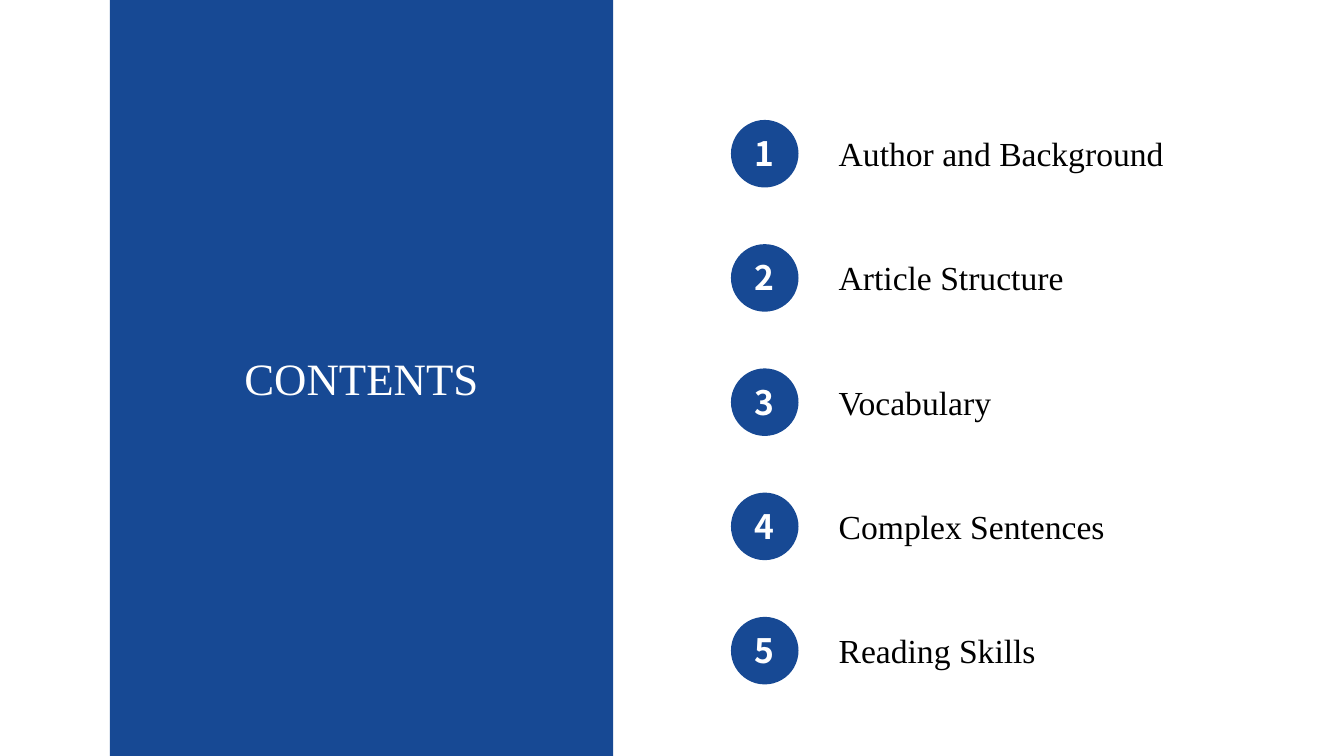
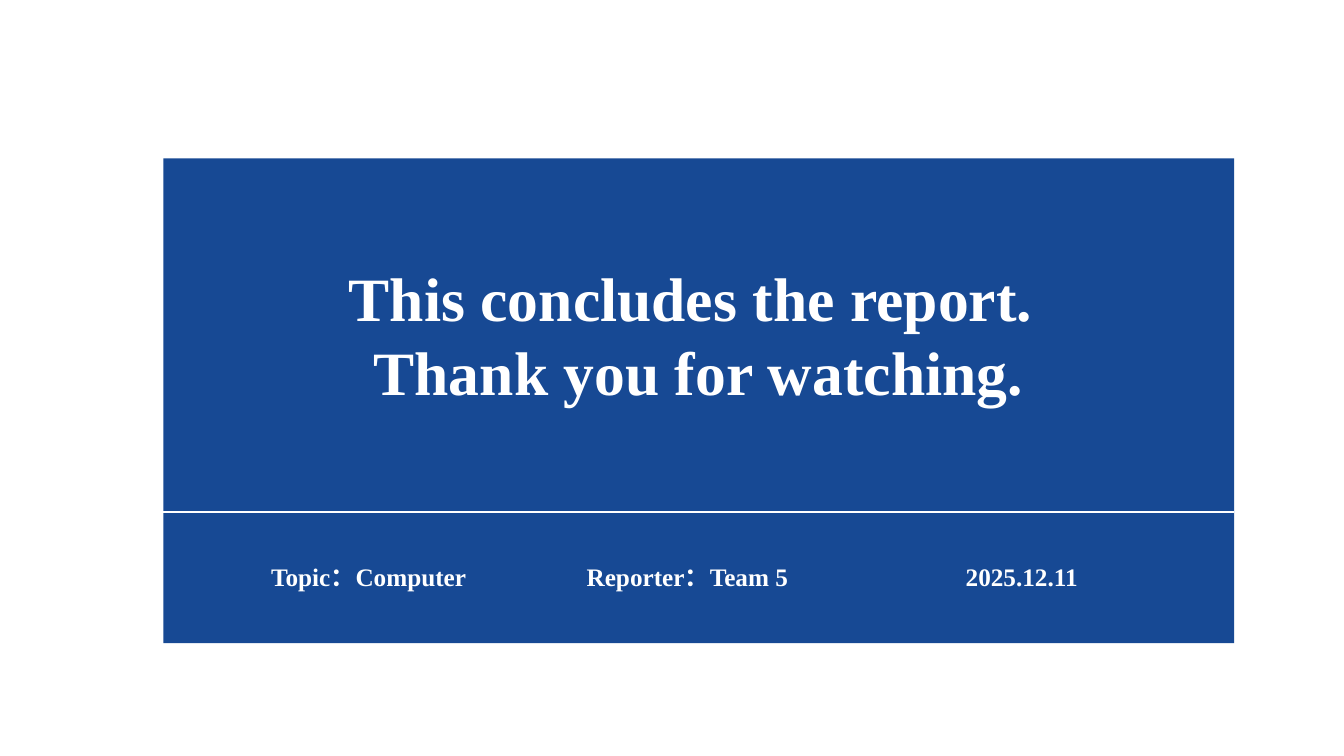
from lxml import etree
from pptx import Presentation
from pptx.dml.color import RGBColor
from pptx.enum.shapes import MSO_CONNECTOR as Link, MSO_SHAPE as Shape
from pptx.enum.text import MSO_AUTO_SIZE as Fit, PP_ALIGN as Align
from pptx.oxml.ns import qn
from pptx.util import Inches, Pt

# Content
HEAD = "CONTENTS"
TOPICS = ["Author and Background", "Article Structure", "Vocabulary",
          "Complex Sentences", "Reading Skills"]
THANKS = ["This concludes the report. ", "Thank you for watching."]
FACTS = [("Topic：Computer", 2.59, 2.16), ("Reporter：Team 5", 5.72, 2.22),
         ("2025.12.11", 9.48, 1.5)]

# Shared style
BLUE, WHITE, BLACK = "174994", "FFFFFF", "000000"
SERIF, SANS = "Times New Roman", "Noto Sans CJK SC"


def color(code):
    return RGBColor.from_string(code)


def add_fill(shapes, kind, *box):
    item = shapes.add_shape(kind, *map(Inches, box))
    item.shadow.inherit = False
    item.fill.solid()
    item.fill.fore_color.rgb = color(BLUE)
    item.line.fill.background()


def add_text(shapes, text, *box, size=24, font=SERIF, fill=WHITE,
             bold=False, align=Align.LEFT):
    frame = shapes.add_textbox(*map(Inches, box)).text_frame
    frame.word_wrap = True
    frame.auto_size = Fit.SHAPE_TO_FIT_TEXT
    frame.text = text
    for para in frame.paragraphs:
        para.alignment = align
        face = para.font
        face.size, face.name, face.bold = Pt(size), font, bold
        face.color.rgb = color(fill)


def add_rule(shapes, left, right, top):
    rule = shapes.add_connector(Link.STRAIGHT, *map(Inches, (left, top, right, top)))
    rule.line.color.rgb = color(WHITE)
    rule.line.width = Pt(1)
    etree.SubElement(rule._element.spPr, qn("a:effectLst"))


def add_contents(shapes):
    # Side panel with centred heading
    left, width = 1.09, 4.99
    add_fill(shapes, Shape.RECTANGLE, left, 0, width, 7.5)
    add_text(shapes, HEAD, left, 3.43, width, 0.64, size=32, align=Align.CENTER)
    # Numbered topics
    first, last, dot = 1.19, 6.12, 0.67
    step = (last - first) / (len(TOPICS) - 1)
    for i, topic in enumerate(TOPICS):
        top = first + i * step
        row = shapes.add_group_shape().shapes
        add_fill(row, Shape.OVAL, 7.25, top, dot, dot)
        add_text(row, str(i + 1), 7.38, top + 0.08, 0.41, 0.5,
                 font=SANS, bold=True)
        add_text(row, topic, 8.22, top + 0.08, 3.6, 0.5, fill=BLACK)


def add_closing(shapes):
    # Band with thanks
    left, width = 1.62, 10.62
    add_fill(shapes, Shape.RECTANGLE, left, 1.57, width, 4.81)
    add_text(shapes, "\n".join(THANKS), 1.98, 2.53, 9.9, 1.58,
             size=44, bold=True, align=Align.CENTER)
    # Facts below the rule
    add_rule(shapes, left, left + width, 5.08)
    for fact, x, wide in FACTS:
        add_text(shapes, fact, x, 5.52, wide, 0.4, size=18, bold=True)


def main():
    deck = Presentation()
    deck.slide_width, deck.slide_height = Inches(13.33), Inches(7.5)
    for build in (add_contents, add_closing):
        build(deck.slides.add_slide(deck.slide_layouts[6]).shapes)
    deck.save("out.pptx")


if __name__ == "__main__":
    main()
